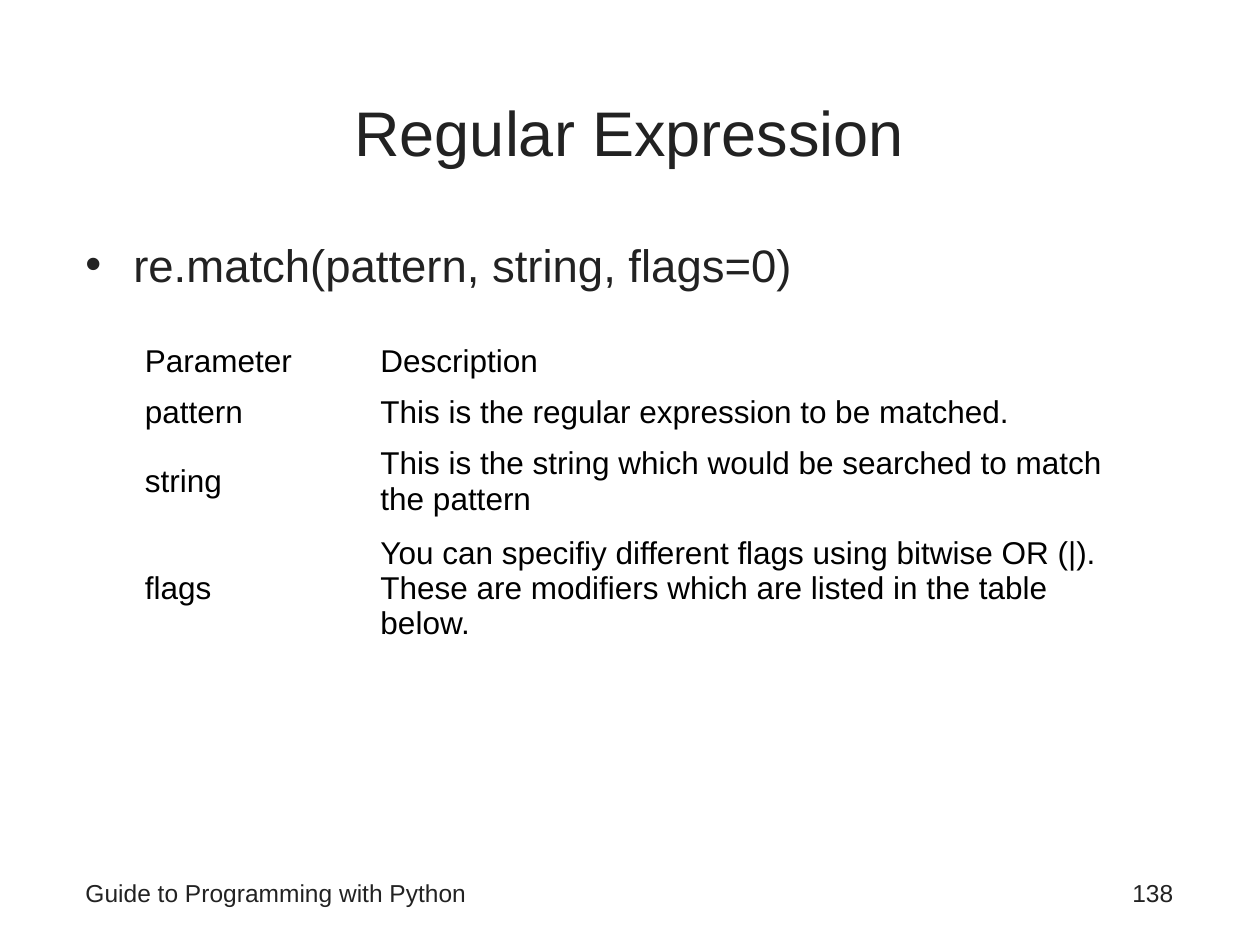
from lxml.etree import SubElement
from pptx import Presentation
from pptx.dml.color import RGBColor
from pptx.enum.text import MSO_ANCHOR as Anchor, PP_ALIGN as Align
from pptx.oxml.ns import qn
from pptx.util import Inches, Pt

COLORS = {"text": "222222", "table": "000000"}
FONT = "Arial"
PARAMETERS = [
    ("Parameter", "Description"),
    ("pattern", "This is the regular expression to be matched."),
    ("string", "This is the string which would be searched to match the pattern"),
    ("flags", "You can specifiy different flags using bitwise OR (|). "
              "These are modifiers which are listed in the table below."),
]
COLUMN_WIDTHS = (1.87, 6.07)
ROW_HEIGHTS = (0.4, 0.4, 0.7, 1)


def write(frame, text, size, color="text", align=Align.LEFT, anchor=Anchor.TOP):
    """Write one formatted run in a text frame and return its paragraph."""
    frame.word_wrap = True
    frame.vertical_anchor = anchor
    paragraph = frame.paragraphs[0]
    paragraph.alignment = align
    run = paragraph.add_run()
    run.text = text
    run.font.name = FONT
    run.font.size = Pt(size)
    run.font.bold = False
    run.font.color.rgb = RGBColor.from_string(COLORS[color])
    return paragraph


def add_title(slide, left, top, width, height):
    """Place the centred title placeholder in its box."""
    title = slide.shapes.title
    title.left, title.top = Inches(left), Inches(top)
    title.width, title.height = Inches(width), Inches(height)
    write(title.text_frame, "Regular Expression", 36,
          align=Align.CENTER, anchor=Anchor.MIDDLE)


def add_text(slide, left, top, width, height, text, size, align=Align.LEFT):
    """Add a text box and return its paragraph."""
    box = slide.shapes.add_textbox(
        Inches(left), Inches(top), Inches(width), Inches(height))
    return write(box.text_frame, text, size, align=align)


def add_signature(slide, left, top, width, height):
    """Add the bulleted function signature."""
    paragraph = add_text(slide, left, top, width, height,
                         "re.match(pattern, string, flags=0)", 26)
    properties = paragraph._p.get_or_add_pPr()
    properties.set("marL", str(Inches(0.38)))
    properties.set("indent", str(Inches(-0.38)))
    bullet_color = SubElement(properties, qn("a:buClr"))
    SubElement(bullet_color, qn("a:srgbClr"), val=COLORS["text"])
    SubElement(properties, qn("a:buFont"), typeface=FONT)
    SubElement(properties, qn("a:buChar"), char="•")


def add_parameter_table(slide, left, top, width, height):
    """Add the plain table of parameters and descriptions."""
    table = slide.shapes.add_table(
        len(PARAMETERS), len(COLUMN_WIDTHS),
        Inches(left), Inches(top), Inches(width), Inches(height)).table
    table.first_row = False
    table.horz_banding = False
    for column, column_width in zip(table.columns, COLUMN_WIDTHS):
        column.width = Inches(column_width)
    for row, row_height, texts in zip(table.rows, ROW_HEIGHTS, PARAMETERS):
        row.height = Inches(row_height)
        for cell, text in zip(row.cells, texts):
            cell.fill.background()
            write(cell.text_frame, text, 18, "table")
            cell.vertical_anchor = Anchor.MIDDLE


def add_footer(slide, left, top, width, height):
    """Add the book title at the left and the page number at the right."""
    number_width = 2.25
    add_text(slide, left, top, 6.42, height,
             "Guide to Programming with Python", 14)
    add_text(slide, left + width - number_width, top, number_width, height,
             "138", 14, Align.RIGHT)


def main():
    """Build the slide and save it."""
    presentation = Presentation()
    presentation.slide_width = Inches(10)
    presentation.slide_height = Inches(7.5)
    slide = presentation.slides.add_slide(presentation.slide_layouts[5])
    add_title(slide, 0.58, 0.42, 8.83, 1.25)
    add_signature(slide, 0.58, 1.83, 8.83, 0.74)
    add_footer(slide, 0.58, 6.92, 8.83, 0.42)
    add_parameter_table(slide, 1.05, 2.67, sum(COLUMN_WIDTHS), sum(ROW_HEIGHTS))
    presentation.save("out.pptx")


if __name__ == "__main__":
    main()
